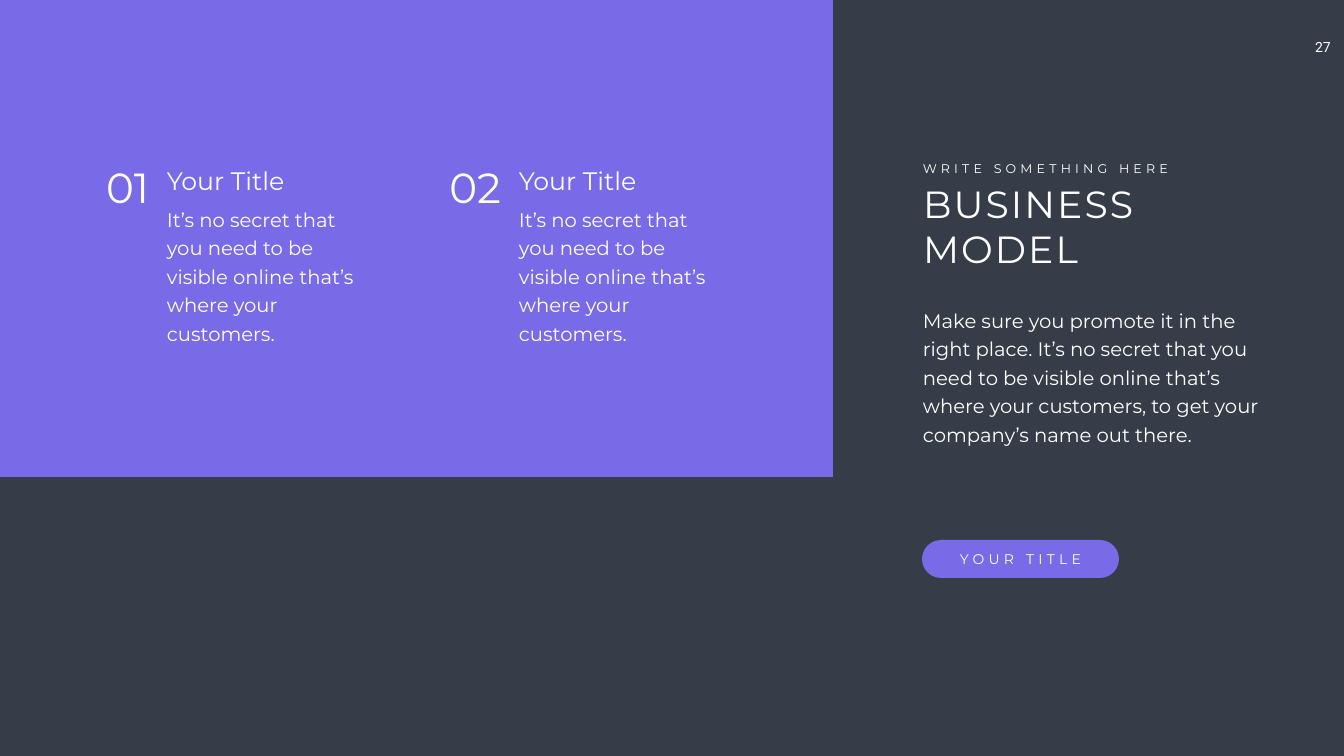
from pptx import Presentation
from pptx.dml.color import RGBColor
from pptx.enum import shapes, text
from pptx.util import Emu, Pt

PX = 914400 / 50.4
DARK, VIOLET, WHITE = "363D48", "796BE8", "FFFFFF"
LEFT, CENTER, RIGHT = text.PP_ALIGN.LEFT, text.PP_ALIGN.CENTER, text.PP_ALIGN.RIGHT
BODY_LEADING = 40.8
POINT_TEXT = ("It’s no secret that you need to be visible online "
              "that’s where your customers.")
INTRO = ("Make sure you promote it in the right place. It’s no secret that you "
         "need to be visible online that’s where your customers, to get your "
         "company’s name out there.")


def px(*lengths):
    return [Emu(round(length * PX)) for length in lengths]


def paint(fill, color):
    fill.solid()
    fill.fore_color.rgb = RGBColor.from_string(color)


def write(frame, wording, size, align=LEFT, font="Montserrat", tracking=0,
          leading=None, wrap=True):
    """Fill a text frame with one white paragraph; tracking and leading in points."""
    frame.word_wrap = wrap
    frame.auto_size = text.MSO_AUTO_SIZE.NONE
    frame.vertical_anchor = text.MSO_ANCHOR.TOP
    paragraph = frame.paragraphs[0]
    paragraph.alignment = align
    if leading:
        paragraph.line_spacing = Pt(leading)
    run = paragraph.add_run()
    run.text = wording
    run.font.name = font
    run.font.size = Pt(size)
    paint(run.font.fill, WHITE)
    if tracking:
        run.font._element.set("spc", str(tracking * 100))


def add_text(slide, box, wording, size, **style):
    write(slide.shapes.add_textbox(*px(*box)).text_frame, wording, size, **style)


def add_panel(slide, kind, box):
    panel = slide.shapes.add_shape(kind, *px(*box))
    panel.shadow.inherit = False
    paint(panel.fill, VIOLET)
    panel.line.fill.background()
    return panel


def add_point(slide, left, number):
    add_text(slide, (left, 159, 76, 56), number, 60, align=RIGHT)
    add_text(slide, (left + 84, 163, 135, 36), "Your Title", 36)
    add_text(slide, (left + 84, 200, 218, 118), POINT_TEXT, 28, leading=BODY_LEADING)


def add_title(slide, box, wording):
    title = slide.shapes.title
    title.left, title.top, title.width, title.height = px(*box)
    write(title.text_frame, wording, 54, tracking=3)


def add_button(slide, box, wording):
    pill = add_panel(slide, shapes.MSO_SHAPE.ROUNDED_RECTANGLE, box)
    pill.adjustments[0] = 0.5
    left, top, width, height = box
    add_text(slide, (left + 30, top + 8, width - 60, height - 16), wording, 20,
             align=CENTER, tracking=6, wrap=False)


def main():
    deck = Presentation()
    deck.slide_width, deck.slide_height = px(1344, 756)
    slide = deck.slides.add_slide(deck.slide_layouts.get_by_name("Title Only"))
    paint(slide.background.fill, DARK)

    add_text(slide, (1300, 36, 46, 27), "27", 20, align=CENTER, font="Roboto", wrap=False)
    add_panel(slide, shapes.MSO_SHAPE.RECTANGLE, (0, 0, 833, 477))
    for column, number in enumerate(("01", "02")):
        add_point(slide, 78 + 352 * column, number)

    add_text(slide, (918, 158, 261, 20), "WRITE SOMETHING HERE", 18, tracking=6, wrap=False)
    add_title(slide, (918, 178, 348, 97), "BUSINESS MODEL")
    add_text(slide, (918, 301, 348, 148), INTRO, 28, leading=BODY_LEADING)
    add_button(slide, (922, 540, 197, 38), "YOUR TITLE")
    deck.save("out.pptx")


if __name__ == "__main__":
    main()
